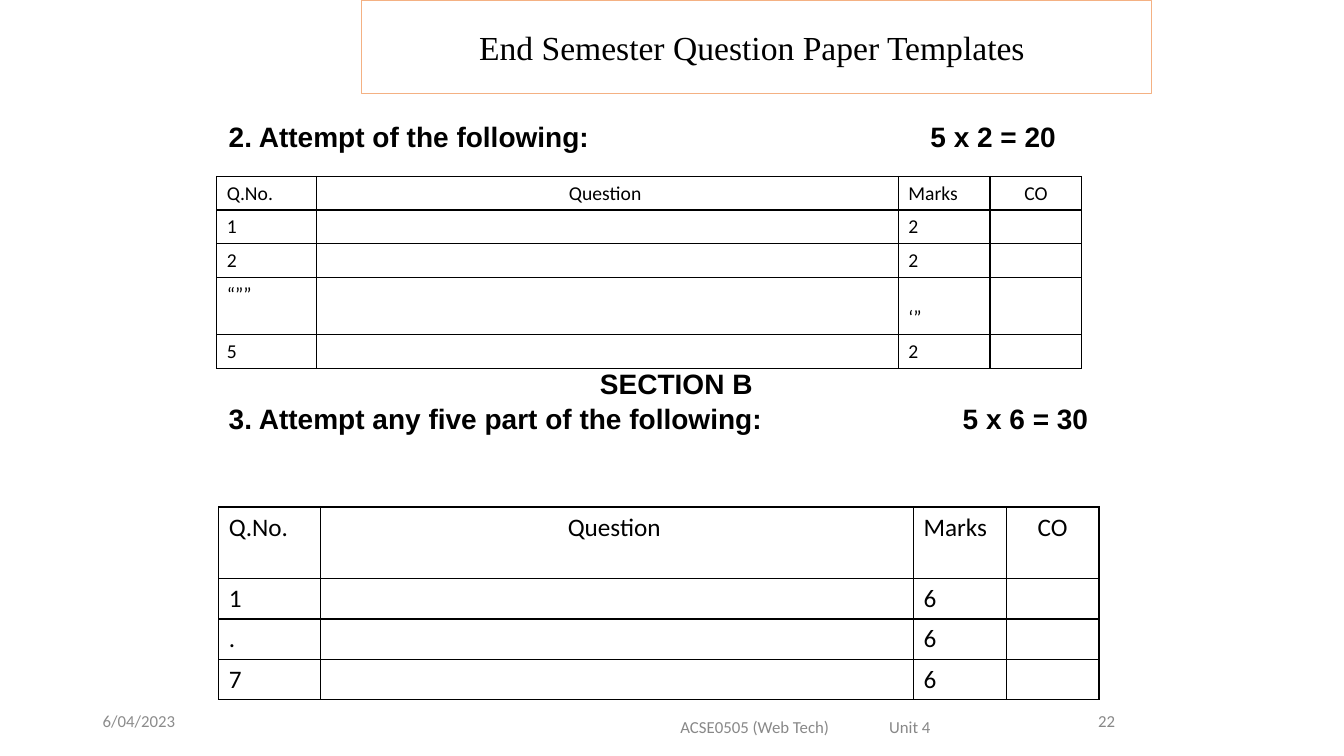
from dataclasses import dataclass

from lxml.etree import SubElement
from pptx import Presentation
from pptx.dml.color import RGBColor
from pptx.enum.text import MSO_ANCHOR, PP_ALIGN
from pptx.oxml.ns import qn
from pptx.util import Inches, Pt


@dataclass(frozen=True)
class Theme:
    black: str = "000000"
    white: str = "FFFFFF"
    orange: str = "F4B183"
    footer_gray: str = "888888"
    date_gray: str = "8C8C8C"
    title_font: str = "Times New Roman"
    heading_font: str = "Arial"
    body_font: str = "Calibri"
    title_size: int = 24
    heading_size: int = 20
    small_table_size: int = 14
    large_table_size: int = 18
    footer_size: int = 12


THEME = Theme()


def write(paragraph, text, *, size, font=THEME.body_font, color=THEME.black,
          bold=False, align=PP_ALIGN.LEFT, tab=None):
    """Fill a paragraph; tab is the distance in inches of a left tab stop."""
    paragraph.alignment = align
    if tab is not None:
        tab_list = SubElement(paragraph._p.get_or_add_pPr(), qn("a:tabLst"))
        SubElement(tab_list, qn("a:tab"), pos=str(Inches(tab)), algn="l")
    if not text:
        SubElement(paragraph._p, qn("a:endParaRPr"), sz=str(size * 100))
        return
    run = paragraph.add_run()
    run.text = text
    run.font.size = Pt(size)
    run.font.name = font
    run.font.bold = bold
    run.font.color.rgb = RGBColor.from_string(color)


def add_title(slide, text, left, top, width, height):
    title = slide.shapes.title
    title.left, title.top = Inches(left), Inches(top)
    title.width, title.height = Inches(width), Inches(height)
    title.line.color.rgb = RGBColor.from_string(THEME.orange)
    title.line.width = Pt(0.5)
    title.text_frame.vertical_anchor = MSO_ANCHOR.MIDDLE
    write(title.text_frame.paragraphs[0], text, size=THEME.title_size,
          font=THEME.title_font, align=PP_ALIGN.CENTER)


def add_text(slide, left, top, width, height, anchor=MSO_ANCHOR.TOP):
    box = slide.shapes.add_textbox(Inches(left), Inches(top), Inches(width), Inches(height))
    box.text_frame.word_wrap = True
    box.text_frame.vertical_anchor = anchor
    return box.text_frame


def add_headings(slide, top, height, lines):
    """Each line is its text, alignment and tab stop."""
    frame = add_text(slide, 2.17, top, 9, height)
    for index, (text, align, tab) in enumerate(lines):
        paragraph = frame.add_paragraph() if index else frame.paragraphs[0]
        paragraph.line_spacing = 0.9
        if index:
            paragraph.space_before = Pt(3.6)
        write(paragraph, text, size=THEME.heading_size, font=THEME.heading_font,
              bold=True, align=align, tab=tab)


def add_footer(slide, text, left, top, width, height, color=THEME.footer_gray, **text_format):
    frame = add_text(slide, left, top, width, height, MSO_ANCHOR.MIDDLE)
    write(frame.paragraphs[0], text, size=THEME.footer_size, color=color, **text_format)


def format_cell(cell):
    cell.fill.solid()
    cell.fill.fore_color.rgb = RGBColor.from_string(THEME.white)
    properties = cell._tc.get_or_add_tcPr()
    for index, side in enumerate(("a:lnL", "a:lnR", "a:lnT", "a:lnB")):
        border = properties.makeelement(qn(side), {"w": str(Pt(1))})
        fill = SubElement(border, qn("a:solidFill"))
        SubElement(fill, qn("a:srgbClr"), val=THEME.black)
        properties.insert(index, border)


def add_question_table(slide, left, top, column_widths, row_heights, questions, size):
    """Each question is its number and marks."""
    rows = [("Q.No.", "Question ", "Marks", "CO")]
    rows += [(number, "", marks, "") for number, marks in questions]
    table = slide.shapes.add_table(
        len(rows), len(column_widths), Inches(left), Inches(top),
        Inches(sum(column_widths)), Inches(sum(row_heights))).table
    table.first_row = table.horz_banding = False
    for column, width in zip(table.columns, column_widths):
        column.width = Inches(width)
    for row, height, texts in zip(table.rows, row_heights, rows):
        row.height = Inches(height)
        for index, (cell, text) in enumerate(zip(row.cells, texts)):
            format_cell(cell)
            align = PP_ALIGN.CENTER if index in (1, 3) else PP_ALIGN.LEFT
            write(cell.text_frame.paragraphs[0], text, size=size, align=align)
    return table


def main():
    presentation = Presentation()
    presentation.slide_width, presentation.slide_height = Inches(13.33), Inches(7.5)
    slide = presentation.slides.add_slide(presentation.slide_layouts[5])

    # Title
    add_title(slide, "End Semester Question Paper Templates ", 3.58, 0, 7.84, 0.93)

    # Question 2
    add_headings(slide, 1.17, 0.4, [
        ("2. Attempt of the following:\t5 x 2 = 20", PP_ALIGN.LEFT, 6.96)])
    short_table = add_question_table(
        slide, 2.15, 1.75, (0.99, 5.77, 0.91, 0.91), (0.33, 0.33, 0.33, 0.57, 0.33),
        [("1", "2"), ("2", "2"), ("“””", "‘”"), ("5", "2")], THEME.small_table_size)
    short_table.cell(3, 2).vertical_anchor = MSO_ANCHOR.BOTTOM

    # Section B, question 3
    add_headings(slide, 3.62, 0.75, [
        (" SECTION B", PP_ALIGN.CENTER, None),
        ("3. Attempt any five part of the following:\t5 x 6 = 30", PP_ALIGN.LEFT, 7.28)])
    add_question_table(
        slide, 2.17, 5.03, (1.01, 5.88, 0.92, 0.92), (0.71, 0.4, 0.4, 0.4),
        [("1", "6"), (".", "6"), ("7", "6")], THEME.large_table_size)

    # Footer
    add_footer(slide, "ACSE0505 (Web Tech)\tUnit 4", 6.65, 7.03, 2.68, 0.37, tab=2.07)
    add_footer(slide, "22", 8.83, 6.95, 2.33, 0.4, align=PP_ALIGN.RIGHT)
    add_footer(slide, "6/04/2023", 0.92, 6.95, 3, 0.4, color=THEME.date_gray)

    presentation.save("out.pptx")


if __name__ == "__main__":
    main()
